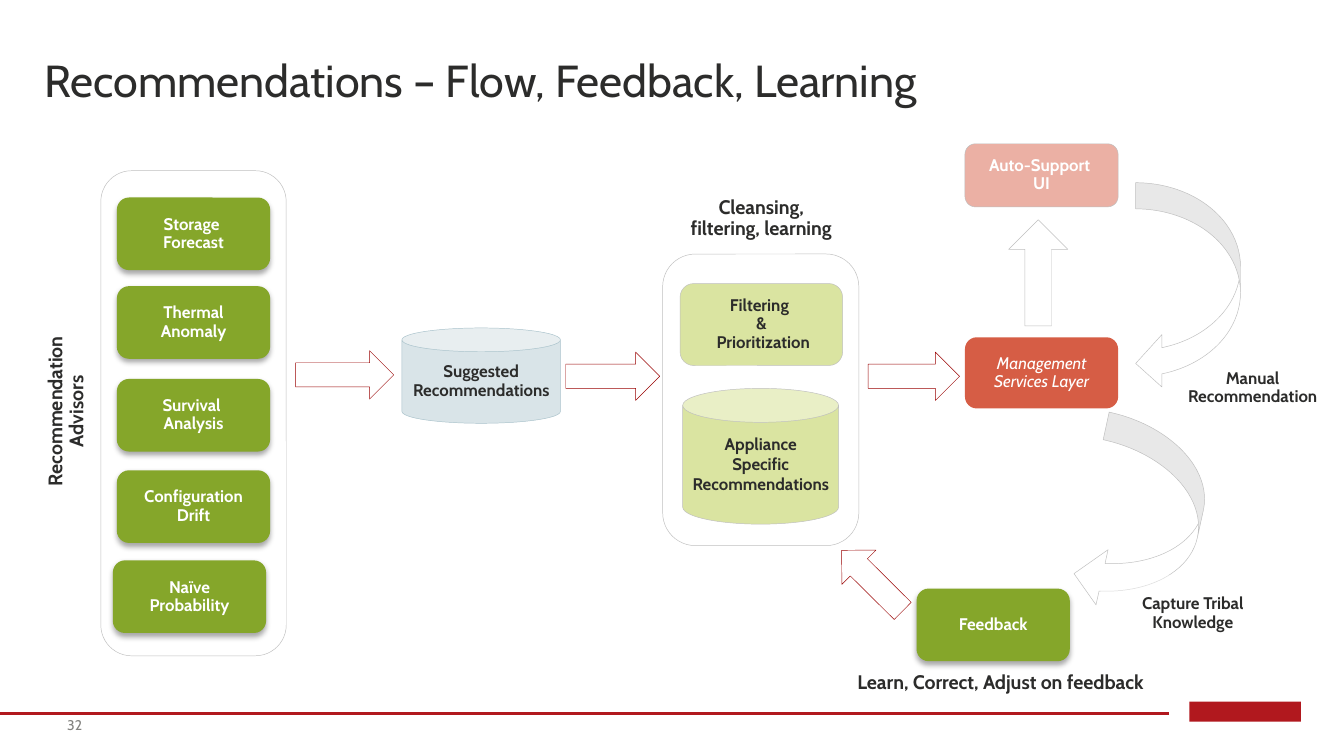
from lxml import etree
from pptx import Presentation
from pptx.dml.color import RGBColor
from pptx.enum.shapes import MSO_CONNECTOR, MSO_SHAPE
from pptx.enum.text import MSO_ANCHOR, PP_ALIGN
from pptx.oxml.ns import qn
from pptx.util import Inches, Pt

ROUNDED = MSO_SHAPE.ROUNDED_RECTANGLE
CAN = MSO_SHAPE.CAN
RIGHT_ARROW = MSO_SHAPE.RIGHT_ARROW
CURVED_ARROW = MSO_SHAPE.CURVED_LEFT_ARROW
RECTANGLE = MSO_SHAPE.RECTANGLE
STRAIGHT = MSO_CONNECTOR.STRAIGHT
BOTTOM, MIDDLE = MSO_ANCHOR.BOTTOM, MSO_ANCHOR.MIDDLE
CENTER = PP_ALIGN.CENTER
FONT = "Cabin"
DARK, WHITE, GRAY = "2C2C2B", "FFFFFF", "BFBFBF"
GREEN, LIME, ORANGE, BLUE = "85A62A", "ADC32B", "D24C31", "A9C2CB"
RED, ARROW_RED = "B1181E", "990000"

rgb = RGBColor.from_string


def add_block(kind, box, fill=None, alpha=100, line=None, rotation=0, shadow=False,
              text="", size=9, color=DARK, bold=True, italic=False):
    """Add a preset shape; box is left, top, width, height in inches, alpha a percentage."""
    shape = slide.shapes.add_shape(kind, *map(Inches, box))
    shape.rotation = rotation
    shape.shadow.inherit = False
    if fill:
        shape.fill.solid()
        shape.fill.fore_color.rgb = rgb(fill)
        if alpha < 100:
            fill_color = shape._element.spPr.find(qn("a:solidFill"))[0]
            etree.SubElement(fill_color, qn("a:alpha"), val=str(alpha * 1000))
    else:
        shape.fill.background()
    if line:
        shape.line.color.rgb = rgb(line)
        shape.line.width = Pt(0.25)
    else:
        shape.line.fill.background()
    if shadow:
        effects = shape._element.spPr.find(qn("a:effectLst"))
        outer = etree.SubElement(effects, qn("a:outerShdw"), blurRad=str(Pt(3.1)),
                                 dist=str(Pt(1.8)), dir="5400000", rotWithShape="0")
        shadow_color = etree.SubElement(outer, qn("a:srgbClr"), val="000000")
        etree.SubElement(shadow_color, qn("a:alpha"), val="35000")
    if text:
        frame = shape.text_frame
        frame.text = text
        frame.word_wrap = True
        frame.vertical_anchor = MIDDLE
        frame.margin_left = frame.margin_right = Inches(0.07)
        frame.margin_top = frame.margin_bottom = Inches(0.04)
        for paragraph in frame.paragraphs:
            paragraph.alignment = CENTER
            paragraph.line_spacing = 0.9
            font = paragraph.runs[0].font
            font.name, font.size, font.color.rgb = FONT, Pt(size), rgb(color)
            font.bold, font.italic = bold, italic
    return shape


presentation = Presentation()
presentation.slide_width = Inches(10)
presentation.slide_height = Inches(10) * 9 // 16
slide = presentation.slides.add_slide(presentation.slide_layouts[6])

# Footer rule and plain logo bar
rule = slide.shapes.add_connector(STRAIGHT, Inches(8.7), Inches(5.31),
                                  Inches(-0.01), Inches(5.31))
rule.line.color.rgb = rgb(RED)
rule.line.width = Pt(1.5)
etree.SubElement(rule._element.spPr, qn("a:effectLst"))
add_block(RECTANGLE, (8.85, 5.22, 0.83, 0.15), RED)

# Title and slide number
for text, box, size, color, anchor in (
    ("Recommendations – Flow, Feedback, Learning", (0.33, 0.11, 9, 0.69), 24, DARK, BOTTOM),
    ("32", (0.5, 5.32, 0.33, 0.15), 7.5, "82827F", MIDDLE),
):
    frame = slide.shapes.add_textbox(*map(Inches, box)).text_frame
    frame.text = text
    frame.word_wrap = True
    frame.vertical_anchor = anchor
    frame.margin_left = frame.margin_right = frame.margin_top = frame.margin_bottom = 0
    if anchor == BOTTOM:
        frame.paragraphs[0].line_spacing = 0.9
    font = frame.paragraphs[0].runs[0].font
    font.name, font.size, font.color.rgb = FONT, Pt(size), rgb(color)

# Recommendation advisors and feedback
add_block(ROUNDED, (-1.03, 2.7, 3.05, 0.72), rotation=270,
          text="Recommendation\nAdvisors", size=10.5)
for left, top, text in (
    (0.87, 1.47, "Storage \nForecast"),
    (0.87, 2.13, "Thermal Anomaly"),
    (0.87, 2.82, "Survival \nAnalysis"),
    (0.87, 3.5, "Configuration\nDrift"),
    (0.84, 4.17, "Naïve\nProbability"),
    (6.82, 4.38, "Feedback"),
):
    add_block(ROUNDED, (left, top, 1.14, 0.54), GREEN, shadow=True, text=text, color=WHITE)
add_block(ROUNDED, (0.75, 1.27, 1.38, 3.61), line=GRAY)

# Suggested recommendations
add_block(CAN, (2.99, 2.44, 1.18, 0.71), BLUE, 44, BLUE, text="Suggested\nRecommendations")

# Cleansing, filtering, learning
add_block(ROUNDED, (4.98, 1.35, 1.37, 0.55), text="Cleansing, filtering, learning", size=10.5)
add_block(ROUNDED, (5.06, 2.11, 1.21, 0.61), LIME, 44, GRAY,
          text="Filtering \n&\n Prioritization")
appliance = add_block(CAN, (5.08, 2.89, 1.16, 1.01), LIME, 44, GRAY,
                      text="Appliance\nSpecific\nRecommendations")
for paragraph in appliance.text_frame.paragraphs[1:]:
    paragraph.line_spacing = 1.0
add_block(ROUNDED, (4.93, 1.89, 1.46, 2.17), line=GRAY, rotation=180)

# Management services and user interface
add_block(ROUNDED, (7.18, 1.07, 1.14, 0.47), ORANGE, 44, GRAY,
          text="Auto-Support \nUI", color=WHITE)
add_block(ROUNDED, (7.18, 2.51, 1.14, 0.53), ORANGE, 90,
          text="Management Services Layer", color=WHITE, bold=False, italic=True)

# Flow arrows and feedback loops
add_block(ROUNDED, (8.73, 2.6, 1.18, 0.57), WHITE, 44, text="Manual\nRecommendation")
for left, top, width, rotation in (
    (2.2, 2.61, 0.73, 0),
    (4.21, 2.62, 0.7, 0),
    (6.46, 2.62, 0.68, 0),
    (6.17, 4.14, 0.64, 224.8),
):
    add_block(RIGHT_ARROW, (left, top, width, 0.36), WHITE, 44, ARROW_RED, rotation)
up_arrow = add_block(RIGHT_ARROW, (7.33, 1.81, 0.79, 0.44), WHITE, 44, GRAY, 270)
up_arrow.adjustments[0] = 0.45
add_block(CURVED_ARROW, (8.45, 1.36, 0.78, 1.54), WHITE, 44, GRAY)
add_block(CURVED_ARROW, (8.09, 3.14, 0.84, 1.44), WHITE, 44, GRAY, 12.3)
add_block(ROUNDED, (8.19, 4.28, 1.37, 0.57), WHITE, 44, text="Capture Tribal Knowledge")
add_block(ROUNDED, (6.15, 4.92, 2.59, 0.33), text="Learn, Correct, Adjust on feedback",
          size=10.5)

presentation.save("out.pptx")
